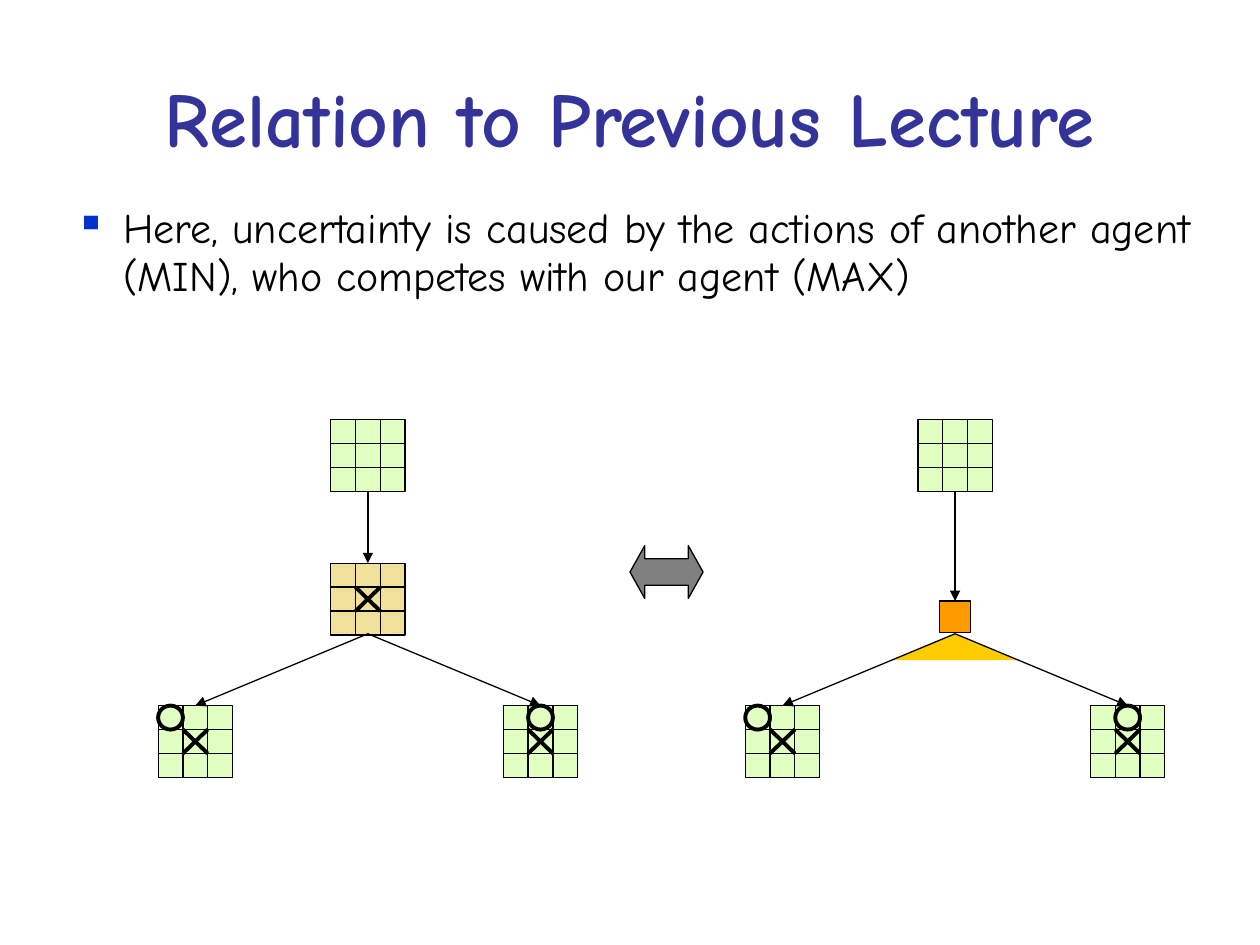
from lxml.etree import SubElement
from pptx import Presentation
from pptx.dml.color import RGBColor
from pptx.enum.shapes import MSO_CONNECTOR as Connector, MSO_SHAPE as Shape
from pptx.enum.text import MSO_ANCHOR as Anchor, PP_ALIGN as Align
from pptx.oxml.ns import qn
from pptx.util import Inches, Pt

FONT = "Comic Neue"
BLACK = RGBColor(0x00, 0x00, 0x00)
TITLE_BLUE = RGBColor(0x33, 0x33, 0x99)
BULLET_BLUE = RGBColor(0x00, 0x33, 0xCC)
GREEN = RGBColor(0xE0, 0xFF, 0xC1)
TAN = RGBColor(0xF0, 0xE0, 0x9A)
ORANGE = RGBColor(0xFF, 0x99, 0x00)
YELLOW = RGBColor(0xFF, 0xCC, 0x00)
GRAY = RGBColor(0x80, 0x80, 0x80)

THIN, THICK = 0.75, 2.25
BOARD_W, BOARD_H = 0.59, 0.57
CELL_W, CELL_H = BOARD_W / 3, BOARD_H / 3
ROOT_TOP, MOVE_TOP, REPLY_TOP = 3.33, 4.47, 5.6
FORK_Y = 5.03
REPLY_OFFSET = 1.37


def add_text(slide, box, text, size, color, bold=False):
    frame = slide.shapes.add_textbox(*map(Inches, box)).text_frame
    frame.word_wrap = True
    paragraph = frame.paragraphs[0]
    run = paragraph.add_run()
    run.text = text
    run.font.name = FONT
    run.font.size = Pt(size)
    run.font.bold = bold
    run.font.color.rgb = color
    return frame, paragraph


def add_bullet(paragraph, char, color, indent):
    props = paragraph._p.get_or_add_pPr()
    props.set("marL", str(Inches(indent)))
    props.set("indent", str(-Inches(indent)))
    bullet_color = SubElement(props, qn("a:buClr"))
    SubElement(bullet_color, qn("a:srgbClr"), val=str(color))
    SubElement(props, qn("a:buChar"), char=char)


def add_line(shapes, start, end, width=THIN, arrow=False):
    line = shapes.add_connector(Connector.STRAIGHT, *map(Inches, (*start, *end)))
    line.line.color.rgb = BLACK
    line.line.width = Pt(width)
    if arrow:
        SubElement(line.line._get_or_add_ln(), qn("a:tailEnd"), type="triangle")
    SubElement(line._element.spPr, qn("a:effectLst"))


def add_figure(shapes, kind, box, fill=None, width=THIN):
    figure = shapes.add_shape(kind, *map(Inches, box))
    figure.shadow.inherit = False
    if fill is None:
        figure.fill.background()
    else:
        figure.fill.solid()
        figure.fill.fore_color.rgb = fill
    figure.line.color.rgb = BLACK
    figure.line.width = Pt(width)
    return figure


def add_board(slide, center, top, fill=GREEN, cross=False, nought_column=None):
    shapes = slide.shapes.add_group_shape().shapes
    left = center - BOARD_W / 2
    right, bottom = left + BOARD_W, top + BOARD_H
    columns = [left + CELL_W * i for i in range(3)]
    rows = [top + CELL_H * i for i in range(3)]
    add_figure(shapes, Shape.RECTANGLE, (left, top, BOARD_W, BOARD_H), fill)
    for x, y in zip(columns[1:], rows[1:]):
        add_line(shapes, (left, y), (right, y))
        add_line(shapes, (x, top), (x, bottom))
    if cross:
        add_line(shapes, (columns[1], rows[1]), (columns[2], rows[2]), THICK)
        add_line(shapes, (columns[1], rows[2]), (columns[2], rows[1]), THICK)
    if nought_column is not None:
        nought = (columns[nought_column], top, CELL_W, CELL_H)
        add_figure(shapes, Shape.OVAL, nought, width=THICK)


def add_tree(slide, center, move_top):
    add_board(slide, center, ROOT_TOP)
    add_line(slide.shapes, (center, ROOT_TOP + BOARD_H), (center, move_top), arrow=True)
    for nought_column, side in enumerate((-1, 1)):
        reply = center + side * REPLY_OFFSET
        add_board(slide, reply, REPLY_TOP, cross=True, nought_column=nought_column)
        add_line(slide.shapes, (center, FORK_Y), (reply, REPLY_TOP), arrow=True)


def add_chance_fan(slide, center):
    half, base = 0.5, 5.24
    builder = slide.shapes.build_freeform(Inches(center), Inches(FORK_Y))
    builder.add_line_segments(
        [(Inches(center - half), Inches(base)), (Inches(center + half), Inches(base))]
    )
    fan = builder.convert_to_shape()
    fan.shadow.inherit = False
    fan.fill.solid()
    fan.fill.fore_color.rgb = YELLOW
    fan.line.fill.background()


def main():
    deck = Presentation()
    deck.slide_width, deck.slide_height = Inches(10), Inches(7.5)
    slide = deck.slides.add_slide(deck.slide_layouts[6])

    title_frame, title = add_text(
        slide, (0.5, 0.3, 9, 1.25), "Relation to Previous Lecture", 44, TITLE_BLUE, True
    )
    title_frame.vertical_anchor = Anchor.MIDDLE
    title.alignment = Align.CENTER

    _, statement = add_text(
        slide,
        (0.5, 1.58, 9.17, 5.5),
        "Here, uncertainty is caused by the actions of another agent (MIN), "
        "who competes with our agent (MAX)",
        24,
        BLACK,
    )
    add_bullet(statement, "▪", BULLET_BLUE, 0.38)
    statement.line_spacing = 0.95

    game_x, chance_x = 2.92, 7.58
    add_board(slide, game_x, MOVE_TOP, TAN, cross=True)
    add_tree(slide, game_x, MOVE_TOP)

    action_top, action_size = 4.77, 0.25
    add_chance_fan(slide, chance_x)
    add_tree(slide, chance_x, action_top)
    action = (chance_x - action_size / 2, action_top, action_size, action_size)
    add_figure(slide.shapes, Shape.RECTANGLE, action, ORANGE)

    relation = add_figure(slide.shapes, Shape.LEFT_RIGHT_ARROW, (5, 4.33, 0.58, 0.42), GRAY)
    relation.adjustments[0], relation.adjustments[1] = 0.5, 0.28

    deck.save("out.pptx")


if __name__ == "__main__":
    main()
